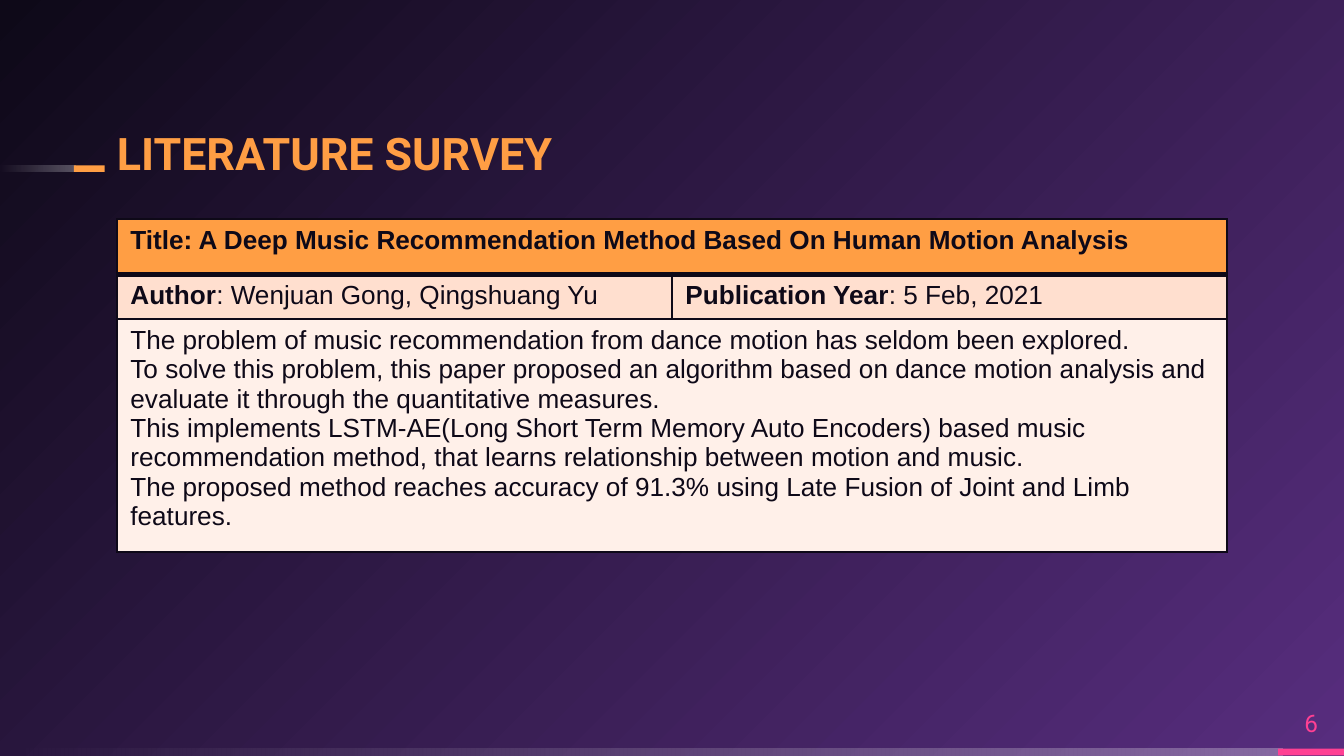
from dataclasses import dataclass

import pptx
import pptx.dml.color
import pptx.enum.shapes
import pptx.enum.text
import pptx.oxml
import pptx.oxml.ns
import pptx.util
from pptx.util import Inches

DARK = "0E0918"
PURPLE = "572D7E"
ORANGE = "FF9E44"
PINK = "FF4093"
WHITE = "FFFFFF"
PEACH = "FFDFCF"
CREAM = "FFF0E9"


@dataclass
class Box:
    left: float
    top: float
    width: float
    height: float

    def lengths(self) -> list:
        return [Inches(value) for value in (self.left, self.top, self.width, self.height)]


@dataclass
class Bar:
    box: Box
    color: str | None  # None means white fading out to the left


@dataclass
class TableCell:
    row: int
    column: int
    paragraphs: list[list[tuple[str, bool]]]  # runs of (text, bold)


BARS = [
    Bar(Box(0, 5.57, 9.54, 0.05), None),
    Bar(Box(9.51, 5.57, 0.49, 0.05), PINK),
    Bar(Box(0, 1.23, 0.56, 0.05), None),
    Bar(Box(0.55, 1.23, 0.23, 0.05), ORANGE),
]
TABLE_BOX = Box(0.87, 1.63, 8.26, 2.47)
ROW_HEIGHTS = [0.41, 0.3, 0.3]  # minimums: the rows grow with their text
ROW_FILLS = [ORANGE, PEACH, CREAM]
MERGED_ROWS = [0, 2]
SUMMARY = [
    "The problem of music recommendation from dance motion has seldom been explored.",
    "To solve this problem, this paper proposed an algorithm based on dance motion "
    "analysis and evaluate it through the quantitative measures.",
    "This implements LSTM-AE(Long Short Term Memory Auto Encoders) based music "
    "recommendation method, that learns relationship between motion and music.",
    "The proposed method reaches accuracy of 91.3% using Late Fusion of Joint and Limb features.",
]
CELLS = [
    TableCell(0, 0, [[("Title: A Deep Music Recommendation Method Based On Human Motion Analysis", True)]]),
    TableCell(1, 0, [[("Author", True), (": Wenjuan Gong, Qingshuang Yu", False)]]),
    TableCell(1, 1, [[("Publication Year", True), (": 5 Feb, 2021", False)]]),
    TableCell(2, 0, [[(sentence, False)] for sentence in SUMMARY]),
]


def rgb(color: str) -> pptx.dml.color.RGBColor:
    return pptx.dml.color.RGBColor.from_string(color)


def gradient_fill(stops: list[tuple[int, str, int]], direction: str):
    """Make a gradFill element from stops of (position, colour, opacity) in percent."""
    stop_xml = "".join(
        f'<a:gs pos="{position * 1000}"><a:srgbClr val="{color}">'
        f'<a:alpha val="{opacity * 1000}"/></a:srgbClr></a:gs>'
        for position, color, opacity in stops
    )
    return pptx.oxml.parse_xml(
        f'<a:gradFill {pptx.oxml.ns.nsdecls("a")} rotWithShape="1">'
        f"<a:gsLst>{stop_xml}</a:gsLst>{direction}</a:gradFill>"
    )


def set_background(slide) -> None:
    slide.background.fill.solid()
    old_fill = next(slide.element.iter(pptx.oxml.ns.qn("a:solidFill")))
    radial = '<a:path path="circle"><a:fillToRect l="100000" t="100000"/></a:path>'
    old_fill.getparent().replace(
        old_fill, gradient_fill([(0, PURPLE, 100), (100, DARK, 100)], radial)
    )


def add_bar(slide, bar: Bar) -> None:
    shape = slide.shapes.add_shape(
        pptx.enum.shapes.MSO_SHAPE.RECTANGLE, *bar.box.lengths()
    )
    shape.shadow.inherit = False
    shape.line.fill.background()
    shape.fill.solid()
    if bar.color:
        shape.fill.fore_color.rgb = rgb(bar.color)
    else:
        properties = shape.element.spPr
        fade = gradient_fill([(0, WHITE, 29), (100, WHITE, 0)], '<a:lin ang="10800000" scaled="0"/>')
        properties.replace(properties.find(pptx.oxml.ns.qn("a:solidFill")), fade)


def set_font(paragraph, name: str, size: float, color: str) -> None:
    paragraph.font.name = name
    paragraph.font.size = pptx.util.Pt(size)
    paragraph.font.color.rgb = rgb(color)


def add_label(slide, box: Box, text: str, size: float, color: str, anchor):
    """Add a one-line text box without insets and return its paragraph."""
    frame = slide.shapes.add_textbox(*box.lengths()).text_frame
    frame.word_wrap = True
    frame.vertical_anchor = anchor
    frame.margin_left = frame.margin_right = frame.margin_top = frame.margin_bottom = 0
    paragraph = frame.paragraphs[0]
    paragraph.text = text
    set_font(paragraph, "Roboto", size, color)
    return paragraph


def set_borders(cell, widths: dict[str, float]) -> None:
    properties = cell._tc.get_or_add_tcPr()
    for index, (side, width) in enumerate(widths.items()):
        border = pptx.oxml.parse_xml(
            f'<a:ln{side} {pptx.oxml.ns.nsdecls("a")} w="{pptx.util.Pt(width)}">'
            f'<a:solidFill><a:srgbClr val="{DARK}"/></a:solidFill></a:ln{side}>'
        )
        properties.insert(index, border)


def add_survey_table(slide) -> None:
    graphic_frame = slide.shapes.add_table(len(ROW_HEIGHTS), 2, *TABLE_BOX.lengths())
    table = graphic_frame.table
    for row_index, (height, color) in enumerate(zip(ROW_HEIGHTS, ROW_FILLS)):
        table.rows[row_index].height = Inches(height)
        for cell in table.rows[row_index].cells:
            cell.fill.solid()
            cell.fill.fore_color.rgb = rgb(color)
            top = 3 if row_index == 1 else 1
            bottom = 3 if row_index == 0 else 1
            set_borders(cell, {"L": 1, "R": 1, "T": top, "B": bottom})
    graphic_frame.height = Inches(TABLE_BOX.height)
    for row_index in MERGED_ROWS:
        table.cell(row_index, 0).merge(table.cell(row_index, 1))
    for content in CELLS:
        frame = table.cell(content.row, content.column).text_frame
        for index, runs in enumerate(content.paragraphs):
            paragraph = frame.add_paragraph() if index else frame.paragraphs[0]
            set_font(paragraph, "Arial", 14, DARK)
            for text, bold in runs:
                run = paragraph.add_run()
                run.text = text
                run.font.bold = bold


def main() -> None:
    presentation = pptx.Presentation()
    presentation.slide_width = Inches(10)
    presentation.slide_height = presentation.slide_width * 9 // 16
    slide = presentation.slides.add_slide(presentation.slide_layouts[6])
    set_background(slide)
    for bar in BARS:
        add_bar(slide, bar)
    anchors = pptx.enum.text.MSO_ANCHOR
    title = add_label(
        slide, Box(0.87, 0.91, 5.8, 0.43), "LITERATURE SURVEY", 24, ORANGE, anchors.BOTTOM
    )
    title.font.bold = True
    title.line_spacing = 0.9
    number = add_label(slide, Box(9.51, 5.19, 0.49, 0.38), "6", 13, PINK, anchors.MIDDLE)
    number.alignment = pptx.enum.text.PP_ALIGN.CENTER
    add_survey_table(slide)
    presentation.save("out.pptx")


if __name__ == "__main__":
    main()
